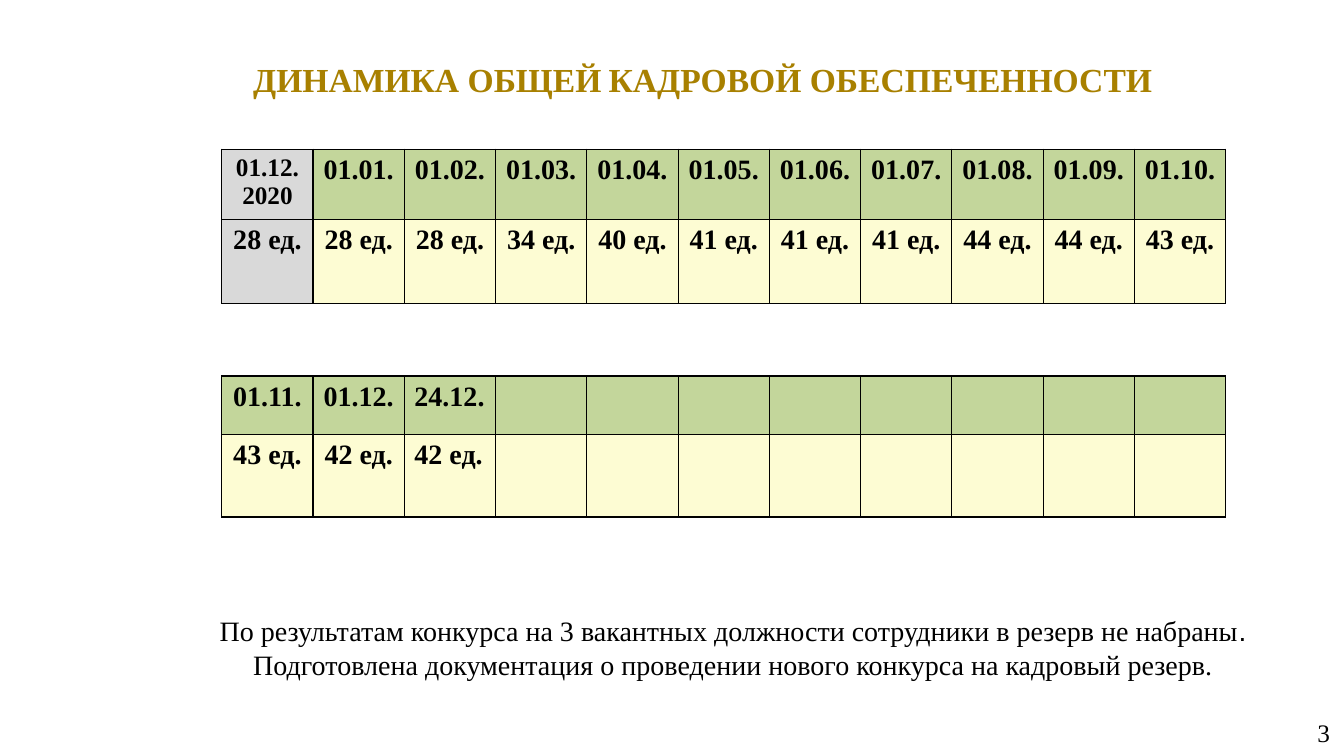
from lxml import etree
from pptx import Presentation
from pptx.dml.color import RGBColor
from pptx.enum.text import MSO_ANCHOR, PP_ALIGN
from pptx.oxml.ns import qn
from pptx.util import Inches, Pt

BLACK = RGBColor(0x00, 0x00, 0x00)
GOLD = RGBColor(0xA8, 0x80, 0x00)
GRAY = RGBColor(0xD9, 0xD9, 0xD9)
GREEN = RGBColor(0xC3, 0xD6, 0x9B)
CREAM = RGBColor(0xFD, 0xFC, 0xD3)
FONT = "Times New Roman"
COLUMNS = 11
TABLE_WIDTH = 9.96


def add_text(box, margins, lines, size, color, align):
    """Add a wrapped text box; each line is a list of run texts."""
    frame = slide.shapes.add_textbox(*map(Inches, box)).text_frame
    frame.word_wrap = True
    frame.margin_left = frame.margin_right = Inches(margins[0])
    frame.margin_top = frame.margin_bottom = Inches(margins[1])
    for index, line in enumerate(lines):
        paragraph = frame.add_paragraph() if index else frame.paragraphs[0]
        paragraph.alignment = align
        for text in line:
            run = paragraph.add_run()
            run.text = text
            run.font.name = FONT
            run.font.size = Pt(size)
            run.font.color.rgb = color
    return frame


def set_borders(cell):
    properties = cell._tc.get_or_add_tcPr()
    for index, side in enumerate(("a:lnL", "a:lnR", "a:lnT", "a:lnB")):
        line = etree.Element(qn(side), w=str(Pt(0.96)))
        fill = etree.SubElement(line, qn("a:solidFill"))
        etree.SubElement(fill, qn("a:srgbClr"), val=str(BLACK))
        properties.insert(index, line)


presentation = Presentation()
presentation.slide_width = Inches(13.33)
presentation.slide_height = Inches(7.5)
slide = presentation.slides.add_slide(presentation.slide_layouts[6])

title = add_text((1.65, 0.51, 10.64, 0.53), (0.13, 0.07),
                 [["ДИНАМИКА ОБЩЕЙ", " ", "КАДРОВОЙ ОБЕСПЕЧЕННОСТИ"]],
                 24, GOLD, PP_ALIGN.CENTER)
title_runs = title.paragraphs[0].runs
for run in title_runs:
    run.font.bold = True
title_runs[1].font.size = Pt(20)

dates = ["01.12.2020"] + [f"{month:02}.".join(("01.", "")) for month in range(1, 11)]
units = [28, 28, 28, 34, 40, 41, 41, 41, 44, 44, 43]
tables = []
for top, heights, table_dates, table_units in (
    (1.48, (0.7, 0.83), dates, units),
    (3.73, (0.58, 0.82), ["01.11.", "01.12.", "24.12."], [43, 42, 42]),
):
    table = slide.shapes.add_table(2, COLUMNS, Inches(2.2), Inches(top),
                                   Inches(TABLE_WIDTH), Inches(sum(heights))).table
    table.first_row = table.horz_banding = False
    for column in table.columns:
        column.width = Inches(TABLE_WIDTH / COLUMNS)
    rows = (table_dates, [f"{count} ед." for count in table_units])
    for row, (height, texts, color) in enumerate(zip(heights, rows, (GREEN, CREAM))):
        table.rows[row].height = Inches(height)
        for column in range(COLUMNS):
            cell = table.cell(row, column)
            cell.fill.solid()
            cell.fill.fore_color.rgb = color
            set_borders(cell)
            if column < len(texts):
                cell.text = texts[column]
                paragraph = cell.text_frame.paragraphs[0]
                paragraph.alignment = PP_ALIGN.CENTER
                font = paragraph.runs[0].font
                font.name = FONT
                font.size = Pt(20)
                font.bold = True
                font.color.rgb = BLACK
    tables.append(table)

year_table, late_table = tables
for row in range(2):
    year_table.cell(row, 0).fill.fore_color.rgb = GRAY
    late_table.cell(row, 2).text_frame.paragraphs[0].alignment = PP_ALIGN.LEFT
year_table.cell(0, 0).text_frame.paragraphs[0].runs[0].font.size = Pt(18)

note = add_text(
    (1.86, 6.04, 10.82, 0.81), (0.1, 0.05),
    [["По результатам конкурса на 3 вакантных должности сотрудники в резерв не набраны", "."],
     ["Подготовлена документация о проведении нового конкурса на кадровый резерв."]],
    20, BLACK, PP_ALIGN.CENTER)
note.paragraphs[0].runs[1].font.name = "Arial"

page_number = add_text((10.22, 7.07, 3.1, 0.39), (0.13, 0.07), [["3"]],
                       18, BLACK, PP_ALIGN.RIGHT)
page_number.vertical_anchor = MSO_ANCHOR.MIDDLE

presentation.save("out.pptx")
